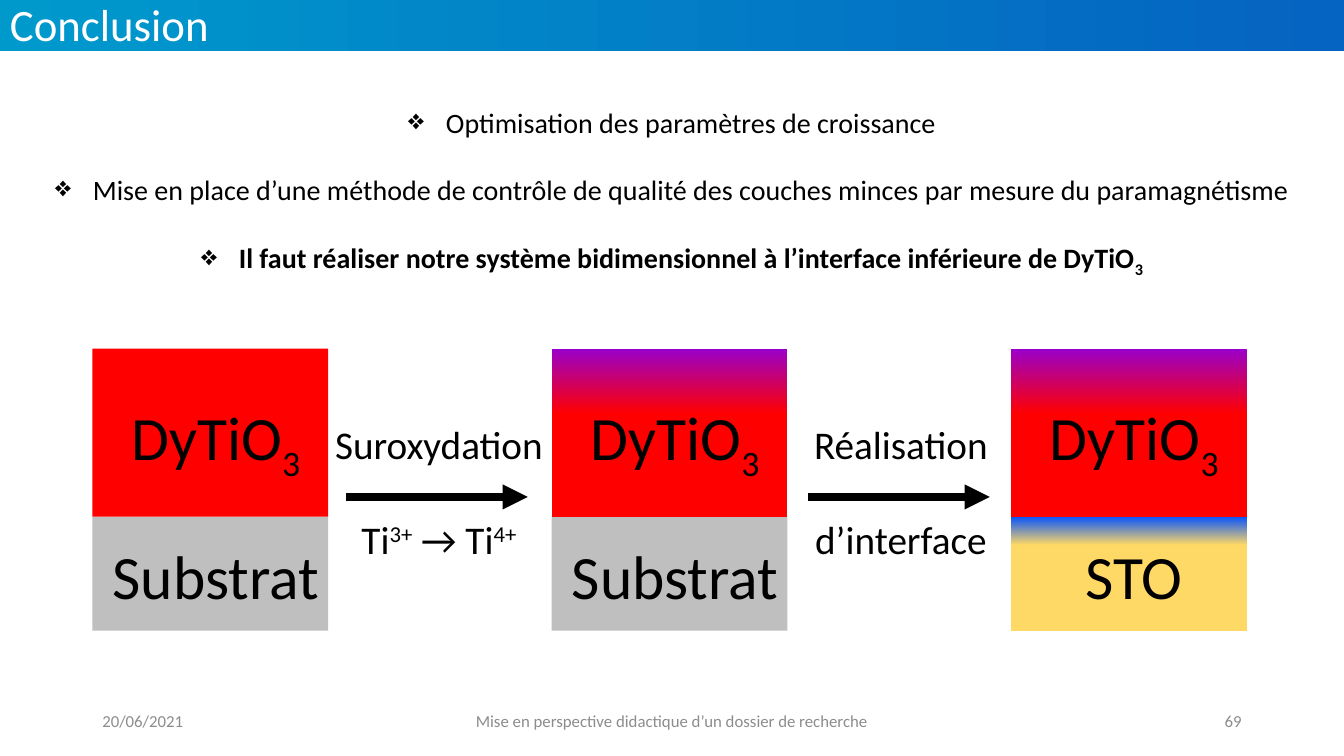
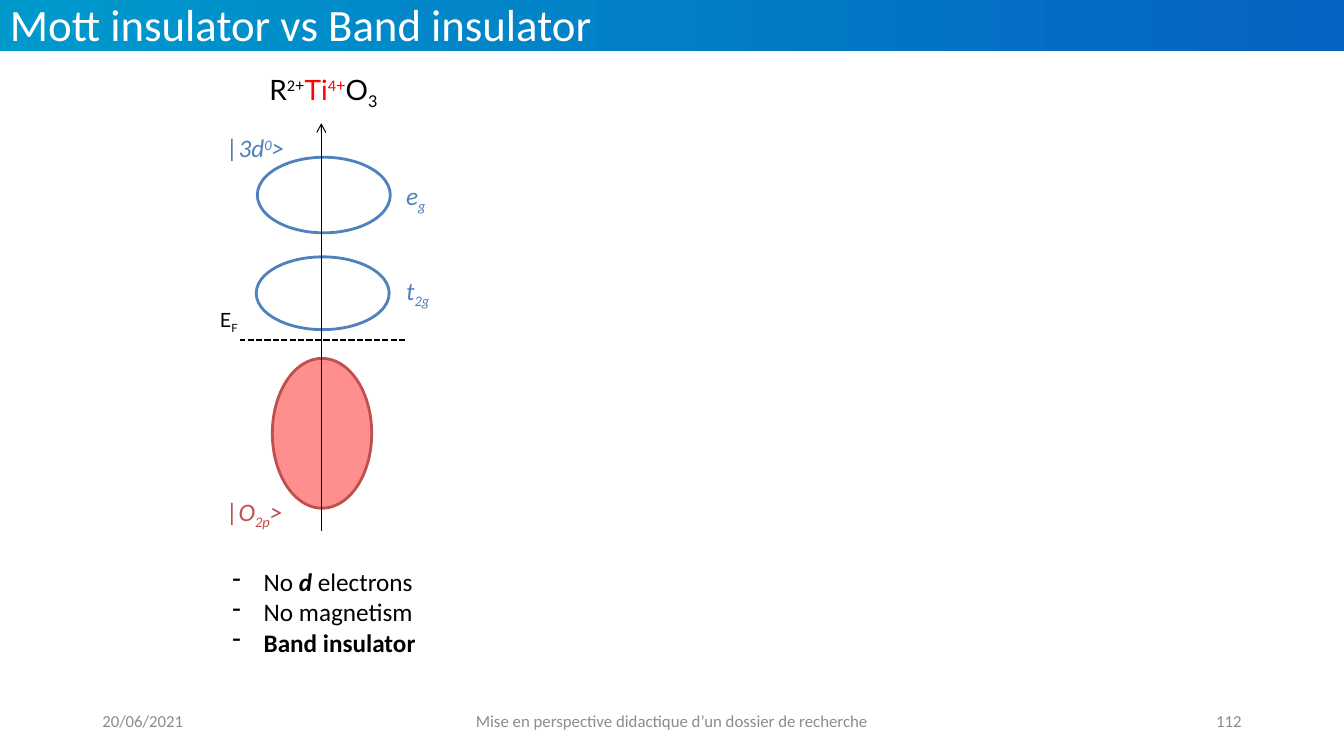
from pptx import Presentation
from pptx.dml.color import RGBColor
from pptx.enum.dml import MSO_LINE
from pptx.enum.shapes import MSO_CONNECTOR, MSO_SHAPE
from pptx.enum.text import MSO_ANCHOR, PP_ALIGN
from pptx.oxml import parse_xml
from pptx.oxml.ns import nsdecls, qn
from pptx.util import Pt
from lxml.etree import SubElement

COLORS = {
    "black": "000000", "white": "FFFFFF", "footer": "8C8C8C",
    "band_left": "0099CC", "band_right": "0563C1",
    "red": "FF0000", "purple": "9900CC", "grey": "BFBFBF",
    "blue": "0753FB", "yellow": "FFD966",
    "d_band": "4F81BD", "p_band": "C0504D",
}
LEFT, CENTER, RIGHT = PP_ALIGN.LEFT, PP_ALIGN.CENTER, PP_ALIGN.RIGHT
SUP, SUB = {"base": 30}, {"base": -25}
BOLD = {"bold": True}

# Shared content: text, left, width, alignment
DATE = "20/06/2021"
TALK = "Mise en perspective didactique d’un dossier de recherche"

# Slide 1 content; a paragraph is a list of (text, style) runs
CONCLUSIONS = [
    [("Optimisation des paramètres de croissance", {})],
    [("Mise en place d’une méthode de contrôle de qualité des couches minces "
      "par mesure du paramagnétisme", {})],
    [("Il faut réaliser notre système bidimensionnel à l’interface inférieure "
      "de DyTiO", BOLD), ("3", {**BOLD, **SUB})],
]
OXIDIZED = [(0, "purple"), (39, "red"), (100, "red")]
INTERFACE = [(0, "blue"), (25, "yellow"), (100, "yellow")]
STACKS = [  # film fill, base fill, base label
    ("red", "grey", "Substrat"),
    (OXIDIZED, "grey", "Substrat"),
    (OXIDIZED, INTERFACE, "STO"),
]
STEPS = [
    [[("Suroxydation", {})],
     [("Ti", {}), ("3+", SUP), (" → Ti", {}), ("4+", SUP)]],
    [[("Réalisation", {})], [("d’interface", {})]],
]

# Slide 2 content
LATO, CALIBRI = {"font": "Lato"}, {"font": "Calibri"}
LATO_SUP = {**LATO, **SUP}
RED = {"color": "red"}
FORMULA = [("R", LATO), ("2", SUP), ("+", LATO_SUP), ("Ti", {**LATO, **RED}),
           ("4", {**SUP, **RED}), ("+", {**LATO_SUP, **RED}),
           ("O", LATO), ("3", {**LATO, **SUB})]
FERMI = [("E", LATO), ("F", {**LATO, **SUB})]
BAND_LABELS = [  # left, top, color, runs
    (155, 91, "d_band", [("|3d", {}), ("0", SUP), (">", {})]),
    (155, 351, "p_band", [("|O", {}), ("2p", SUB), (">", {})]),
    (283, 193, "d_band", [("t", {}), ("2g", SUB)]),
    (283, 125, "d_band", [("e", {}), ("g", SUB)]),
]
BANDS = [  # left, top, width, height, outline, fill
    (194.5, 256, 71, 107, "p_band", "red"),
    (183, 183.5, 95, 52, "d_band", None),
    (183.8, 112.3, 95, 54, "d_band", None),
]
PROPERTIES = [
    [("No ", {}), ("d ", {"bold": True, "italic": True}), ("electrons", {})],
    [("No magnetism", {})],
    [("Band insulator", BOLD)],
]


def rgb(name):
    return RGBColor.from_string(COLORS[name])


def add_text(slide, box, paragraphs, size, color="black", align=LEFT,
             anchor=MSO_ANCHOR.TOP, gap=0, bullet=None, indent=0,
             italic=False, wrap=True):
    text_box = slide.shapes.add_textbox(*map(Pt, box))
    text_frame = text_box.text_frame
    text_frame.word_wrap = wrap
    text_frame.vertical_anchor = anchor
    for index, runs in enumerate(paragraphs):
        paragraph = (text_frame.add_paragraph() if index
                     else text_frame.paragraphs[0])
        paragraph.alignment = align
        if index and gap:
            paragraph.space_before = Pt(gap)
        if bullet:
            properties = paragraph._p.get_or_add_pPr()
            properties.set("marL", str(Pt(indent)))
            properties.set("indent", str(-Pt(indent)))
            SubElement(properties, qn("a:buChar")).set("char", bullet)
        for text, style in runs:
            run = paragraph.add_run()
            run.text = text
            run.font.size = Pt(size)
            run.font.name = style.get("font", "Calibri")
            run.font.bold = style.get("bold", False)
            run.font.italic = style.get("italic", italic)
            run.font.color.rgb = rgb(style.get("color", color))
            if "base" in style:
                run._r.get_or_add_rPr().set("baseline", str(style["base"] * 1000))


def fill_gradient(shape, stops, angle):
    shape.fill.background()
    stop_xml = "".join(
        f'<a:gs pos="{position * 1000}"><a:srgbClr val="{COLORS[name]}"/></a:gs>'
        for position, name in stops)
    gradient = parse_xml(
        f'<a:gradFill {nsdecls("a")} rotWithShape="1"><a:gsLst>{stop_xml}</a:gsLst>'
        f'<a:lin ang="{angle * 60000}" scaled="0"/></a:gradFill>')
    properties = shape._element.spPr
    properties.replace(properties.find(qn("a:noFill")), gradient)


def add_shape(slide, kind, box, fill=None, outline=None, angle=90, alpha=None):
    shape = slide.shapes.add_shape(kind, *map(Pt, box))
    shape.shadow.inherit = False
    if outline:
        shape.line.color.rgb = rgb(outline)
        shape.line.width = Pt(2)
    else:
        shape.line.fill.background()
    if fill is None:
        shape.fill.background()
    elif isinstance(fill, str):
        shape.fill.solid()
        shape.fill.fore_color.rgb = rgb(fill)
        if alpha:
            color = shape._element.spPr.find(qn("a:solidFill"))[0]
            SubElement(color, qn("a:alpha")).set("val", str(alpha * 1000))
    else:
        fill_gradient(shape, fill, angle)


def add_line(slide, start, end, width, head=None, dash=None):
    line = slide.shapes.add_connector(MSO_CONNECTOR.STRAIGHT,
                                      *map(Pt, start + end))
    line.line.color.rgb = rgb("black")
    line.line.width = Pt(width)
    if dash:
        line.line.dash_style = dash
    properties = line._element.spPr
    if head:
        SubElement(properties.find(qn("a:ln")), qn("a:tailEnd")).set("type", head)
    SubElement(properties, qn("a:effectLst"))


def add_base_slide(presentation, title, number):
    """Blank slide with the title band and the three footers."""
    slide = presentation.slides.add_slide(presentation.slide_layouts[6])
    add_shape(slide, MSO_SHAPE.RECTANGLE, (0, 0, 960, 36.7),
              [(0, "band_left"), (100, "band_right")], angle=0)
    add_text(slide, (0, -6, 650, 46), [[(title, {})]], 32, "white")
    for text, left, width, align in ((DATE, 66, 216, LEFT),
                                     (TALK, 318, 324, CENTER),
                                     (number, 678, 216, RIGHT)):
        add_text(slide, (left, 500.5, width, 29), [[(text, {})]], 12, "footer",
                 align, MSO_ANCHOR.MIDDLE)
    return slide


def build_conclusion(presentation):
    slide = add_base_slide(presentation, "Conclusion", "69")
    add_text(slide, (32, 72, 896, 128), CONCLUSIONS, 20, align=CENTER,
             gap=24, bullet="❖", indent=27)

    # Film on base, three times
    width, film_top, film_height, base_height = 168.5, 249, 120, 81.5
    base_top = film_top + film_height
    film_label = [("DyTiO", {}), ("3", SUB)]
    for index, (film, base, base_label) in enumerate(STACKS):
        left = 66 + 328 * index
        for top, height, fill in ((base_top, base_height, base),
                                  (film_top, film_height, film)):
            add_shape(slide, MSO_SHAPE.RECTANGLE, (left, top, width, height), fill)
        for top, runs in ((281.5, film_label), (381, [(base_label, {})])):
            add_text(slide, (left + 4, top, width, 60), [runs], 44, align=CENTER)

    # Arrows between the stacks, with a caption above and below
    for index, caption in enumerate(STEPS):
        left = 247 + 330 * index
        add_line(slide, (left, 355), (left + 130, 355), 6, "triangle")
        add_text(slide, (left - 18.5, 296.6, 170, 109), caption, 28,
                 align=CENTER, gap=34)


def build_insulators(presentation):
    slide = add_base_slide(presentation, "Mott insulator vs Band insulator", "112")

    # Energy bands, Fermi level and energy axis
    for *box, outline, fill in BANDS:
        add_shape(slide, MSO_SHAPE.OVAL, box, fill, outline, alpha=44)
    add_line(slide, (289.5, 242.7), (171.5, 242.7), 1.5, dash=MSO_LINE.SQUARE_DOT)
    add_line(slide, (229.5, 379.5), (229.5, 88), 0.75, "arrow")

    # Labels
    add_text(slide, (182, 48, 98, 32), [FORMULA], 20, align=CENTER, wrap=False)
    add_text(slide, (150, 216.7, 27, 24.5), [FERMI], 14, wrap=False)
    for left, top, color, runs in BAND_LABELS:
        add_text(slide, (left, top, 101, 29), [runs], 18, color, italic=True)
    add_text(slide, (159, 401, 158, 73), PROPERTIES, 18, bullet="-", indent=22.3)


def main():
    presentation = Presentation()
    presentation.slide_width, presentation.slide_height = Pt(960), Pt(540)
    build_conclusion(presentation)
    build_insulators(presentation)
    presentation.save("out.pptx")


if __name__ == "__main__":
    main()
